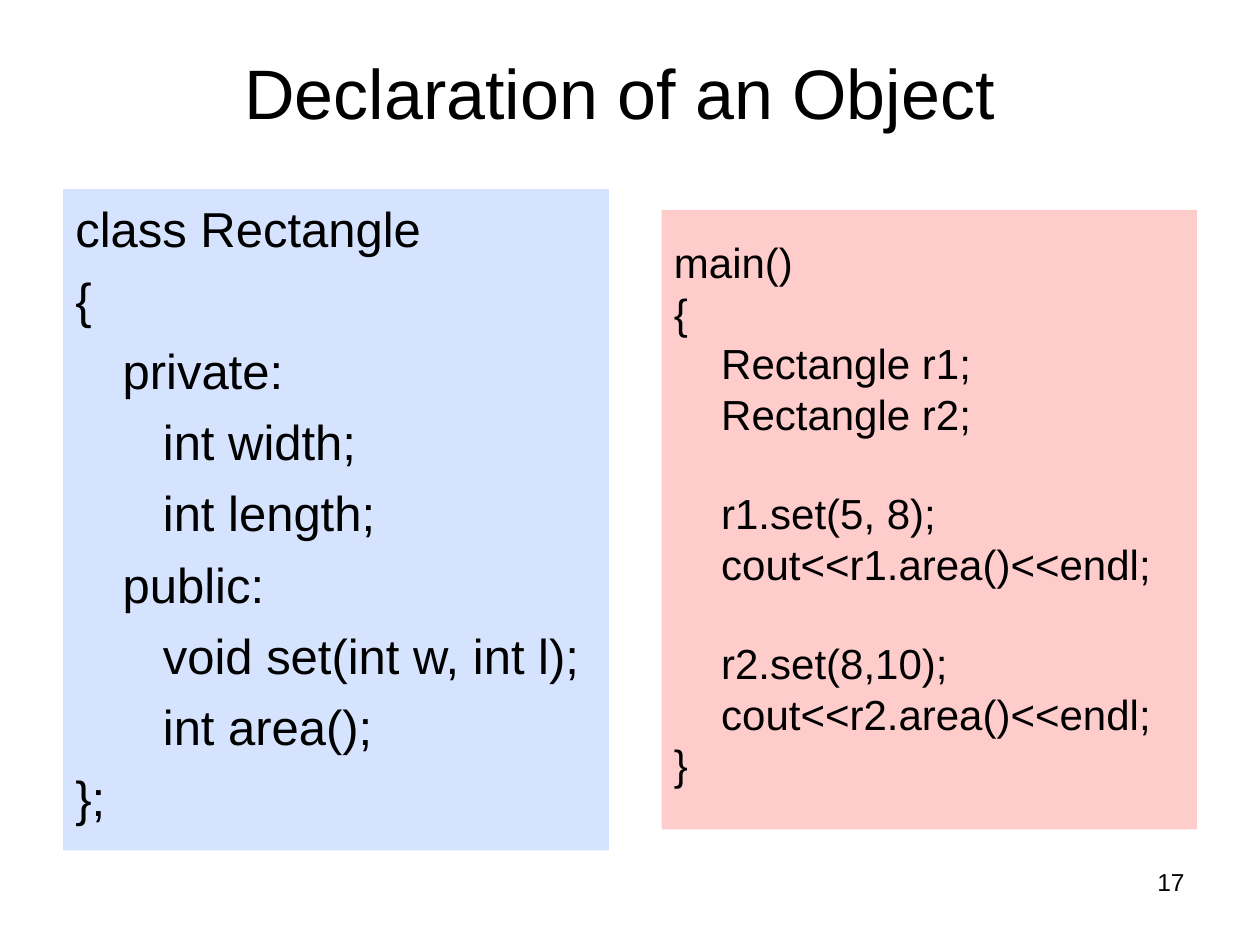
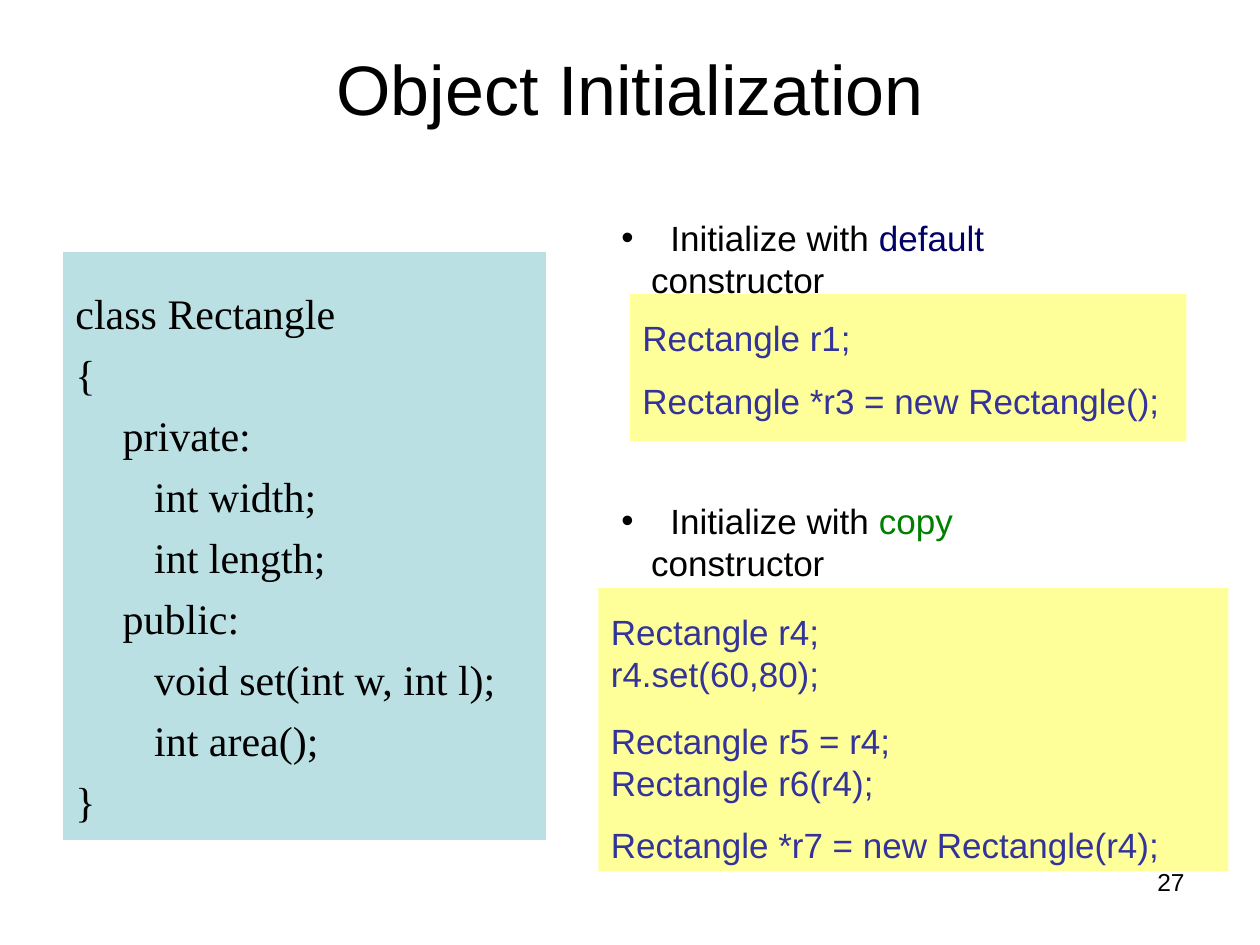
from dataclasses import dataclass

from lxml import etree
from pptx import Presentation
from pptx.dml.color import RGBColor
from pptx.enum.shapes import MSO_SHAPE
from pptx.enum.text import MSO_ANCHOR, PP_ALIGN
from pptx.oxml.ns import qn
from pptx.util import Pt

RECTANGLE = MSO_SHAPE.RECTANGLE
TOP, MIDDLE = MSO_ANCHOR.TOP, MSO_ANCHOR.MIDDLE
LEFT, CENTER, RIGHT = PP_ALIGN.LEFT, PP_ALIGN.CENTER, PP_ALIGN.RIGHT

BLACK, NAVY, GREEN, INDIGO = "000000", "000066", "008000", "333399"
BLUE, PINK, TEAL, YELLOW = "D5E3FF", "FFCCCC", "BBE0E3", "FFFF99"
SANS, SERIF = "Arial", "Times New Roman"

BULLET_INDENT = 17
BULLET_TEXT_START = 28


@dataclass
class CodeStyle:
    """Type of a code panel; inset is the space above its first line."""
    size: float
    inset: float
    gap: float
    font: str = SANS
    color: str = BLACK
    line_spacing: float = 1.0
    indents: tuple = (0, 27, 50)


BIG_CODE = CodeStyle(28, 5.5, 7)
MAIN_CODE = CodeStyle(24, 21, 5.8, line_spacing=0.8)
SERIF_CODE = CodeStyle(24, 20.5, 6, font=SERIF, indents=(0, 27, 45))
CALL_CODE = CodeStyle(20, 17.7, 4.8, color=INDIGO, line_spacing=0.8)

# Each code line is (indent level, text) or (indent level, text, extra space above).
CLASS_BODY = [
    (0, "class Rectangle"),
    (0, "{"),
    (1, "private:"),
    (2, "int width;"),
    (2, "int length;"),
    (1, "public:"),
    (2, "void set(int w, int l);"),
    (2, "int area();"),
]
MAIN_BODY = [
    (0, "main()"),
    (0, "{"),
    (1, "Rectangle r1;"),
    (1, "Rectangle r2;"),
    (1, "r1.set(5, 8);", 27.9),
    (1, "cout<<r1.area()<<endl;"),
    (1, "r2.set(8,10);", 27.9),
    (1, "cout<<r2.area()<<endl;"),
    (0, "}"),
]
DEFAULT_CALLS = [
    (0, "Rectangle r1;"),
    (0, "Rectangle *r3 = new Rectangle();", 11.6),
]
COPY_CALLS = [
    (0, "Rectangle r4;"),
    (0, "r4.set(60,80);"),
    (0, "Rectangle r5 = r4;", 13.9),
    (0, "Rectangle r6(r4);"),
    (0, "Rectangle *r7 = new Rectangle(r4);", 11.6),
]


def rgb(color):
    return RGBColor.from_string(color)


def add_span(para, text, size, color=BLACK, font=SANS):
    span = para.add_run()
    span.text = text
    span.font.size = Pt(size)
    span.font.name = font
    span.font.color.rgb = rgb(color)


def add_box(page, area, align=LEFT, anchor=TOP):
    """Add a wrapping text box and return its first paragraph."""
    box = page.shapes.add_textbox(*map(Pt, area))
    frame = box.text_frame
    frame.word_wrap = True
    frame.vertical_anchor = anchor
    para = frame.paragraphs[0]
    para.alignment = align
    return para


def set_indent(para, margin, first_line=0):
    properties = para._p.get_or_add_pPr()
    properties.set("marL", str(Pt(margin)))
    properties.set("indent", str(Pt(first_line)))
    return properties


def add_page(deck, title, title_area, number):
    page = deck.slides.add_slide(deck.slide_layouts[6])
    add_span(add_box(page, (516, 492, 168, 37), RIGHT), number, 14)
    add_span(add_box(page, title_area, CENTER, MIDDLE), title, 40)
    return page


def add_code_panel(page, area, fill, style, lines):
    panel = page.shapes.add_shape(RECTANGLE, *map(Pt, area))
    panel.shadow.inherit = False
    panel.fill.solid()
    panel.fill.fore_color.rgb = rgb(fill)
    panel.line.fill.background()
    frame = panel.text_frame
    frame.word_wrap = True
    frame.vertical_anchor = TOP
    frame.margin_top = Pt(style.inset)
    for index, (level, text, *extra) in enumerate(lines):
        para = frame.add_paragraph() if index else frame.paragraphs[0]
        para.alignment = LEFT
        para.line_spacing = style.line_spacing
        para.space_before = Pt(style.gap + sum(extra) if index else 0)
        set_indent(para, style.indents[level])
        add_span(para, text, style.size, style.color, style.font)


def add_bullet(page, top, keyword, color):
    """Add a bulleted line whose keyword is coloured."""
    para = add_box(page, (348, top, 270, 56))
    properties = set_indent(para, BULLET_INDENT, -BULLET_INDENT)
    etree.SubElement(properties, qn("a:buFont"), typeface=SANS)
    etree.SubElement(properties, qn("a:buChar"), char="•")
    tabs = etree.SubElement(properties, qn("a:tabLst"))
    etree.SubElement(tabs, qn("a:tab"), pos=str(Pt(BULLET_TEXT_START)), algn="l")
    add_span(para, "\tInitialize with ", 20)
    add_span(para, keyword + " ", 20, color)
    add_span(para, "constructor", 20)


def build_declaration(deck):
    page = add_page(deck, "Declaration of an Object", (30, 27, 648, 50), "17")
    add_code_panel(page, (36, 108, 312, 378), BLUE, BIG_CODE,
                   CLASS_BODY + [(0, "};")])
    add_code_panel(page, (378, 120, 306, 354), PINK, MAIN_CODE, MAIN_BODY)


def build_initialization(deck):
    page = add_page(deck, "Object Initialization", (36, 22, 648, 56), "27")
    add_code_panel(page, (36, 144, 276, 336), TEAL, SERIF_CODE,
                   CLASS_BODY + [(0, "}")])
    add_bullet(page, 120, "default", NAVY)
    add_code_panel(page, (360, 168, 318, 84), YELLOW, CALL_CODE, DEFAULT_CALLS)
    add_bullet(page, 282, "copy", GREEN)
    add_code_panel(page, (342, 336, 360, 162), YELLOW, CALL_CODE, COPY_CALLS)


def main():
    deck = Presentation()
    deck.slide_width, deck.slide_height = Pt(720), Pt(540)
    build_declaration(deck)
    build_initialization(deck)
    deck.save("out.pptx")


if __name__ == "__main__":
    main()
